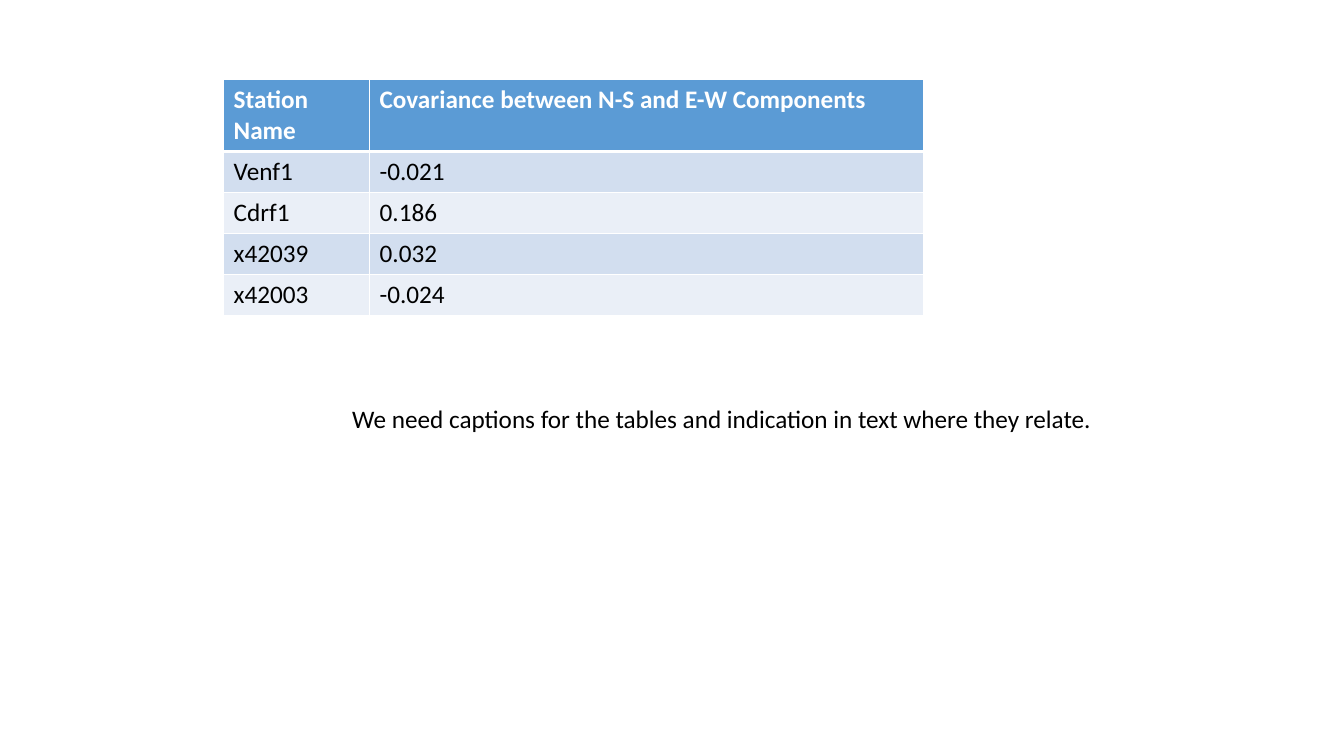
import pptx
import pptx.util
import pptx.dml.color
import pptx.enum.text
import pptx.oxml

PX = 9525  # 96 px to the inch
NS = 'xmlns:a="http://schemas.openxmlformats.org/drawingml/2006/main"'


def color(code):
    return pptx.dml.color.RGBColor.from_string(code)


def write(frame, text, code, bold=False):
    run = frame.paragraphs[0].add_run()
    run.text = text
    run.font.name = "Calibri"
    run.font.size = pptx.util.Pt(18)
    run.font.bold = bold
    run.font.color.rgb = color(code)


deck = pptx.Presentation()
deck.slide_width, deck.slide_height = 1280 * PX, 720 * PX
slide = deck.slides.add_slide(deck.slide_layouts[6])

# Covariance table
data = [
    ("Station Name", "Covariance between N-S and E-W Components"),
    ("Venf1", "-0.021"),
    ("Cdrf1", "0.186"),
    ("x42039", "0.032"),
    ("x42003", "-0.024"),
]
widths = [139, 528]
heights = [67] + [39] * 4
table = slide.shapes.add_table(
    len(data), len(widths), 213 * PX, 76 * PX,
    sum(widths) * PX, sum(heights) * PX).table
for col, width in zip(table.columns, widths):
    col.width = width * PX
for row, height in zip(table.rows, heights):
    row.height = height * PX

for r, texts in enumerate(data):
    head = r == 0
    fill = "5B9BD5" if head else ("EAEFF7", "D2DEEF")[r % 2]
    for c, text in enumerate(texts):
        cell = table.cell(r, c)
        write(cell.text_frame, text, "FFFFFF" if head else "000000", head)
        # White borders, thick below the header
        props = cell._tc.get_or_add_tcPr()
        for side in "LRTB":
            thick = (r, side) in [(0, "B"), (1, "T")]
            props.append(pptx.oxml.parse_xml(
                f'<a:ln{side} {NS} w="{38100 if thick else 12700}"><a:solidFill>'
                f'<a:srgbClr val="FFFFFF"/></a:solidFill></a:ln{side}>'))
        cell.fill.solid()
        cell.fill.fore_color.rgb = color(fill)

# Remark below the table
note = slide.shapes.add_textbox(326 * PX, 379 * PX, 727 * PX, 38 * PX)
note.text_frame.word_wrap = False
note.text_frame.auto_size = pptx.enum.text.MSO_AUTO_SIZE.SHAPE_TO_FIT_TEXT
write(note.text_frame,
      "We need captions for the tables and indication in text where they relate.",
      "000000")

deck.save("out.pptx")
